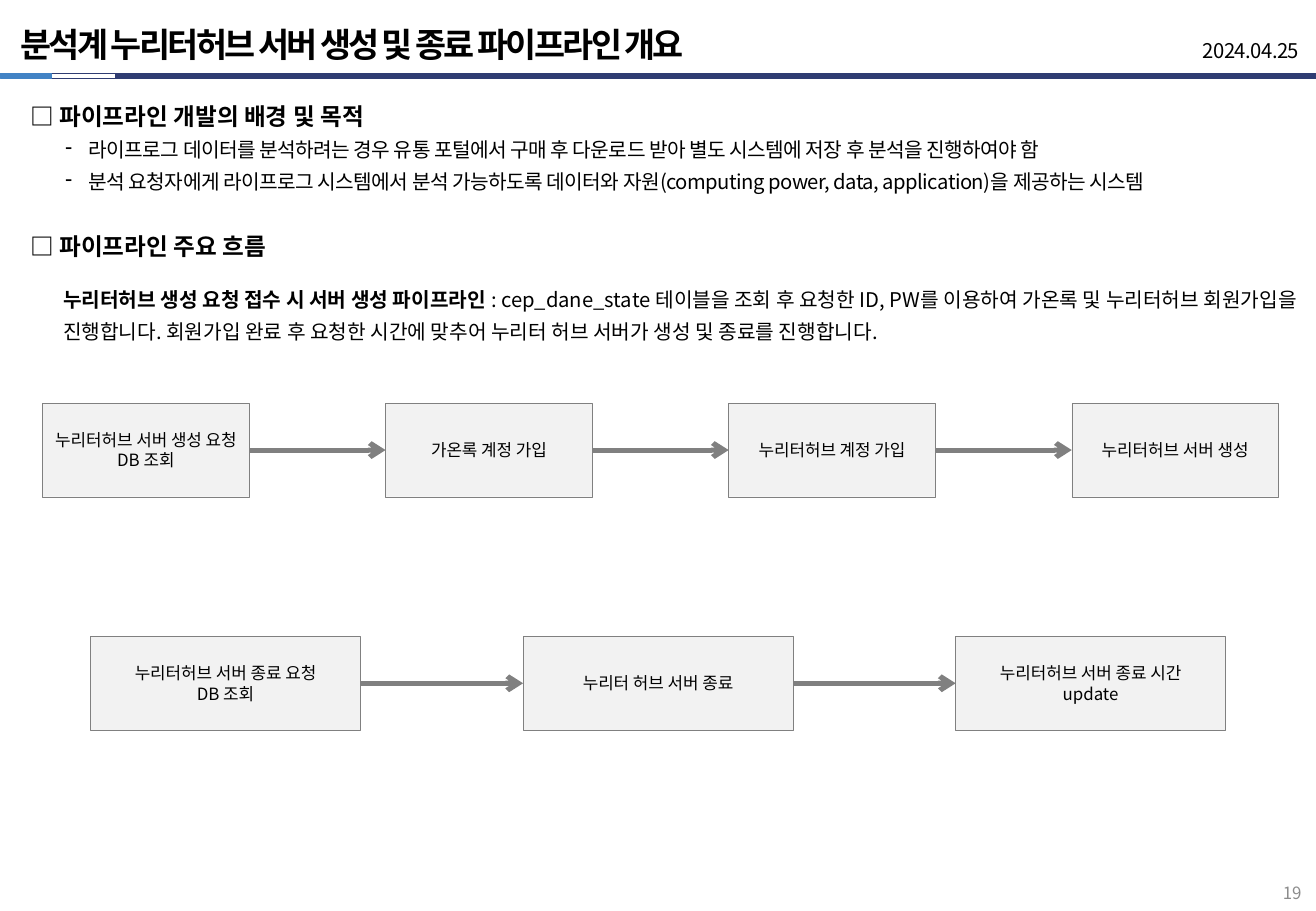
from pptx import Presentation
from pptx.dml.color import RGBColor
from pptx.enum.shapes import MSO_CONNECTOR, MSO_SHAPE
from pptx.enum.text import MSO_ANCHOR, PP_ALIGN
from pptx.oxml.ns import qn
from pptx.util import Inches, Pt
from lxml import etree

RECT, STRAIGHT = MSO_SHAPE.RECTANGLE, MSO_CONNECTOR.STRAIGHT
LEFT, CENTER, RIGHT = PP_ALIGN.LEFT, PP_ALIGN.CENTER, PP_ALIGN.RIGHT
TOP, MIDDLE, BOTTOM = MSO_ANCHOR.TOP, MSO_ANCHOR.MIDDLE, MSO_ANCHOR.BOTTOM
BLACK = RGBColor(0x00, 0x00, 0x00)
NAVY = RGBColor(0x2F, 0x3C, 0x72)
BLUE = RGBColor(0x42, 0x83, 0xC5)
GRAY = RGBColor(0x80, 0x80, 0x80)
PAGE_GRAY = RGBColor(0x8C, 0x8C, 0x8C)
PALE = RGBColor(0xF2, 0xF2, 0xF2)
FONT = "Noto Sans CJK KR"

prs = Presentation()
prs.slide_width, prs.slide_height = Inches(10.83), Inches(7.5)
slide = prs.slides.add_slide(prs.slide_layouts[6])
shapes = slide.shapes


def area(x, y, w, h):
    """Turn percentages of the slide's width and height into lengths."""
    col, row = prs.slide_width / 100, prs.slide_height / 100
    return round(x * col), round(y * row), round(w * col), round(h * row)


def write(p, text, size, bold=False, color=BLACK, align=LEFT, spc=0,
          font=FONT, line=1.0, before=0, margin=0, indent=0, bullet=None):
    """Add text to a paragraph; a newline becomes a line break."""
    p.alignment, p.line_spacing, p.space_before = align, line, Pt(before)
    pPr = p._p.get_or_add_pPr()
    pPr.set("marL", str(Inches(margin)))
    pPr.set("indent", str(Inches(indent)))
    if bullet:
        etree.SubElement(pPr, qn("a:buChar")).set("char", bullet)
    for i, part in enumerate(text.split("\n")):
        if i:
            p.add_line_break()
        r = p.add_run()
        r.text = part
        r.font.size, r.font.bold, r.font.name = Pt(size), bold, font
        r.font.color.rgb = color
        rPr = r._r.get_or_add_rPr()
        rPr.set("spc", str(round(spc * 100)))
        etree.SubElement(rPr, qn("a:ea")).set("typeface", FONT)


# Header rule: start, end, fill, line
for x0, x1, fill, line in [(3.88, 8.77, None, NAVY), (0, 3.88, BLUE, BLUE),
                           (8.77, 100, NAVY, NAVY)]:
    sp = shapes.add_shape(RECT, *area(x0, 8.07, x1 - x0, 0.53))
    sp.shadow.inherit = False
    if fill:
        sp.fill.solid()
        sp.fill.fore_color.rgb = fill
    else:
        sp.fill.background()
    sp.line.color.rgb, sp.line.width = line, Pt(0.25)

# Text boxes: place, anchor, pieces of text grouped by paragraph
heading = dict(size=14, bold=True, line=1.3)
item = dict(size=12, spc=-0.3, line=1.3, margin=0.48, indent=-0.19, bullet="-")
flow_note = dict(size=12, line=1.3, margin=0.27)
text_boxes = [
    ((0.65, 1.87, 67.04, 5.87), MIDDLE, [
        [("분석계 누리터허브 서버 생성 및 종료 파이프라인 개요",
          dict(size=20, bold=True, spc=-1.6))]]),
    ((76.45, 3.87, 23.18, 3.73), BOTTOM, [
        [("2024.04.25", dict(size=12, spc=-0.3, align=RIGHT, line=0.9, before=10))]]),
    ((95.01, 95.73, 4.8, 4), BOTTOM, [
        [("19", dict(size=10, color=PAGE_GRAY, align=RIGHT))]]),
    ((1.39, 9.6, 96.68, 26.67), TOP, [
        [("□ 파이프라인 개발의 배경 및 목적", heading)],
        [("라이프로그 데이터를 분석하려는 경우 유통 포털에서 구매 후 다운로드 받아 "
          "별도 시스템에 저장 후 분석을 진행하여야 함", item)],
        [("분석 요청자에게 라이프로그 시스템에서 분석 가능하도록 데이터와 자원"
          "(computing power, data, application)을 제공하는 시스템", item)],
        [("□ 파이프라인 주요 흐름", dict(heading, before=18))]]),
    ((1.39, 30.13, 98.61, 8.13), TOP, [
        [("누리터허브 생성 요청 접수 시 서버 생성 파이프라인 ",
          dict(flow_note, bold=True, font="Calibri")),
         (": cep_dane_state 테이블을 조회 후 요청한 ID, PW를 이용하여 가온록 및 "
          "누리터허브 회원가입을 진행합니다. 회원가입 완료 후 요청한 시간에 맞추어 "
          "누리터 허브 서버가 생성 및 종료를 진행합니다.", flow_note)]]),
]
for place, anchor, paragraphs in text_boxes:
    tf = shapes.add_textbox(*area(*place)).text_frame
    tf.word_wrap, tf.vertical_anchor = True, anchor
    for i, pieces in enumerate(paragraphs):
        p = tf.add_paragraph() if i else tf.paragraphs[0]
        for text, style in pieces:
            write(p, text, **style)

# Flows: left, top, box width, step, labels
flows = [
    (3.23, 44.27, 15.7, 26.07, ["누리터허브 서버 생성 요청\nDB 조회", "가온록 계정 가입",
                               "누리터허브 계정 가입", "누리터허브 서버 생성"]),
    (6.88, 69.87, 20.5, 32.87, ["누리터허브 서버 종료 요청\nDB 조회",
                               "누리터 허브 서버 종료",
                               "누리터허브 서버 종료 시간\nupdate"]),
]
for left, top, width, step, labels in flows:
    previous = None
    for i, label in enumerate(labels):
        sp = shapes.add_shape(RECT, *area(left + i * step, top, width, 10.27))
        sp.shadow.inherit = False
        sp.fill.solid()
        sp.fill.fore_color.rgb = PALE
        sp.line.color.rgb, sp.line.width = GRAY, Pt(0.25)
        tf = sp.text_frame
        tf.word_wrap, tf.vertical_anchor = False, MIDDLE
        write(tf.paragraphs[0], label, 10, align=CENTER)
        if previous:
            arrow = shapes.add_connector(STRAIGHT, 0, 0, 0, 0)
            arrow.begin_connect(previous, 3)
            arrow.end_connect(sp, 1)
            arrow.line.color.rgb, arrow.line.width = GRAY, Pt(3)
            ln = arrow.line._get_or_add_ln()
            etree.SubElement(ln, qn("a:tailEnd")).set("type", "arrow")
            etree.SubElement(arrow._element.spPr, qn("a:effectLst"))
        previous = sp

prs.save("out.pptx")
